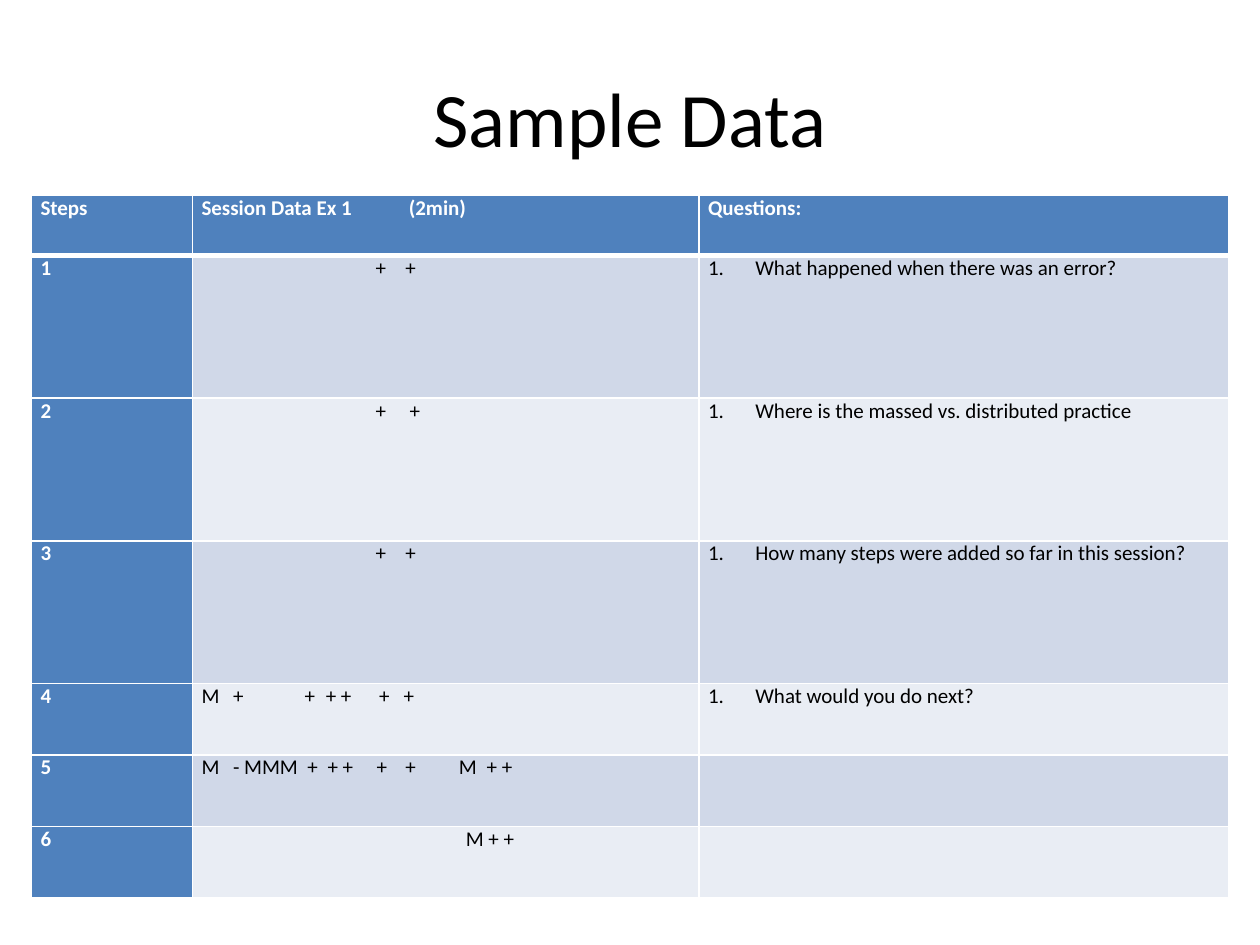
from dataclasses import dataclass
from typing import NamedTuple

from lxml import etree
from pptx import Presentation
from pptx.dml.color import RGBColor
from pptx.enum.text import MSO_ANCHOR, PP_ALIGN
from pptx.oxml.ns import qn
from pptx.util import Pt

CENTER = PP_ALIGN.CENTER
MIDDLE = MSO_ANCHOR.MIDDLE


@dataclass(frozen=True)
class Theme:
    font: str = "Calibri"
    title: float = 44
    body: float = 12
    ink: str = "000000"
    white: str = "FFFFFF"
    head: str = "4F81BD"
    bands: tuple = ("D0D8E8", "E9EDF4")
    thin: float = 1
    thick: float = 3


class Mark(NamedTuple):
    """Text that starts at a distance from the cell's left margin."""
    at: float
    text: str


class Step(NamedTuple):
    marks: list[Mark]
    ask: str
    high: float


THEME = Theme()
LOW = 40.8
TALL = 2 * LOW
TOP = 34.3
COLS = (92, 289.5, 302.5)
PAD = 7.2 * 0.72
HANG = 27

HEAD = [
    [Mark(0, "Steps")],
    [Mark(0, "Session Data Ex 1"), Mark(118.5, "(2min)")],
    [Mark(0, "Questions:")],
]
STEPS = [
    Step([Mark(99.5, "+"), Mark(116.5, "+")],
         "What happened when there was an error?", TALL),
    Step([Mark(99.5, "+"), Mark(119, "+")],
         "Where is the massed vs. distributed practice", TALL),
    Step([Mark(99.5, "+"), Mark(116.5, "+")],
         "How many steps were added so far in this session?", TALL),
    Step([Mark(0, "M"), Mark(18, "+"), Mark(59, "+"), Mark(71, "+ +"),
          Mark(101.5, "+"), Mark(115.5, "+")],
         "What would you do next?", LOW),
    Step([Mark(0, "M"), Mark(18, "- MMM"), Mark(60.5, "+"), Mark(72, "+ +"),
          Mark(100, "+"), Mark(116.5, "+"), Mark(147, "M"),
          Mark(163, "+ +")], "", LOW),
    Step([Mark(151, "M + +")], "", LOW),
]


def add_run(para, text: str, size: float, color: str, bold: bool = False) -> None:
    run = para.add_run()
    run.text = text
    font = run.font
    font.name, font.size, font.bold = THEME.font, Pt(size), bold
    font.color.rgb = RGBColor.from_string(color)


def add_edge(cell, side: str, width: float) -> None:
    line = etree.SubElement(cell._tc.get_or_add_tcPr(), qn(f"a:ln{side}"),
                            w=str(Pt(width)))
    fill = etree.SubElement(line, qn("a:solidFill"))
    etree.SubElement(fill, qn("a:srgbClr"), val=THEME.white)


def style_cell(cell, fill: str, over: float, under: float) -> None:
    for side, width in (("L", THEME.thin), ("R", THEME.thin),
                        ("T", over), ("B", under)):
        add_edge(cell, side, width)
    cell.fill.solid()
    cell.fill.fore_color.rgb = RGBColor.from_string(fill)
    cell.margin_left = cell.margin_right = Pt(PAD)
    cell.margin_top = cell.margin_bottom = Pt(0)


def put_marks(cell, marks: list[Mark], color: str, bold: bool) -> None:
    para = cell.text_frame.paragraphs[0]
    stops = [mark.at for mark in marks if mark.at]
    if stops:
        tabs = etree.SubElement(para._p.get_or_add_pPr(), qn("a:tabLst"))
        for stop in stops:
            etree.SubElement(tabs, qn("a:tab"), pos=str(Pt(stop)), algn="l")
    for mark in marks:
        lead = "\t" if mark.at else ""
        add_run(para, lead + mark.text, THEME.body, color, bold)


def put_ask(cell, text: str) -> None:
    para = cell.text_frame.paragraphs[0]
    props = para._p.get_or_add_pPr()
    props.set("marL", str(Pt(HANG)))
    props.set("indent", str(-Pt(HANG)))
    etree.SubElement(props, qn("a:buFont"), typeface=THEME.font)
    etree.SubElement(props, qn("a:buAutoNum"), type="arabicPeriod")
    add_run(para, text, THEME.body, THEME.ink)


def add_title(slide, text: str) -> None:
    box = slide.shapes.add_textbox(Pt(36), Pt(21.6), Pt(648), Pt(90))
    frame = box.text_frame
    frame.word_wrap = True
    frame.vertical_anchor = MIDDLE
    para = frame.paragraphs[0]
    para.alignment = CENTER
    add_run(para, text, THEME.title, THEME.ink)


def add_grid(slide) -> None:
    highs = [TOP] + [step.high for step in STEPS]
    table = slide.shapes.add_table(
        len(highs), len(COLS), Pt(18), Pt(111.6),
        Pt(sum(COLS)), Pt(sum(highs))).table
    for col, wide in zip(table.columns, COLS):
        col.width = Pt(wide)
    for row, high in zip(table.rows, highs):
        row.height = Pt(high)

    # Header row
    for col, marks in enumerate(HEAD):
        cell = table.cell(0, col)
        style_cell(cell, THEME.head, THEME.thin, THEME.thick)
        put_marks(cell, marks, THEME.white, True)

    # One banded row for each step
    for num, step in enumerate(STEPS, 1):
        band = THEME.bands[(num - 1) % 2]
        over = THEME.thick if num == 1 else THEME.thin
        label, data, ask = (table.cell(num, col) for col in range(len(COLS)))
        for cell, fill in ((label, THEME.head), (data, band), (ask, band)):
            style_cell(cell, fill, over, THEME.thin)
        put_marks(label, [Mark(0, str(num))], THEME.white, True)
        put_marks(data, step.marks, THEME.ink, False)
        if step.ask:
            put_ask(ask, step.ask)


def main() -> None:
    deck = Presentation()
    deck.slide_width, deck.slide_height = Pt(720), Pt(540)
    slide = deck.slides.add_slide(deck.slide_layouts[6])
    add_title(slide, "Sample Data")
    add_grid(slide)
    deck.save("out.pptx")


if __name__ == "__main__":
    main()
